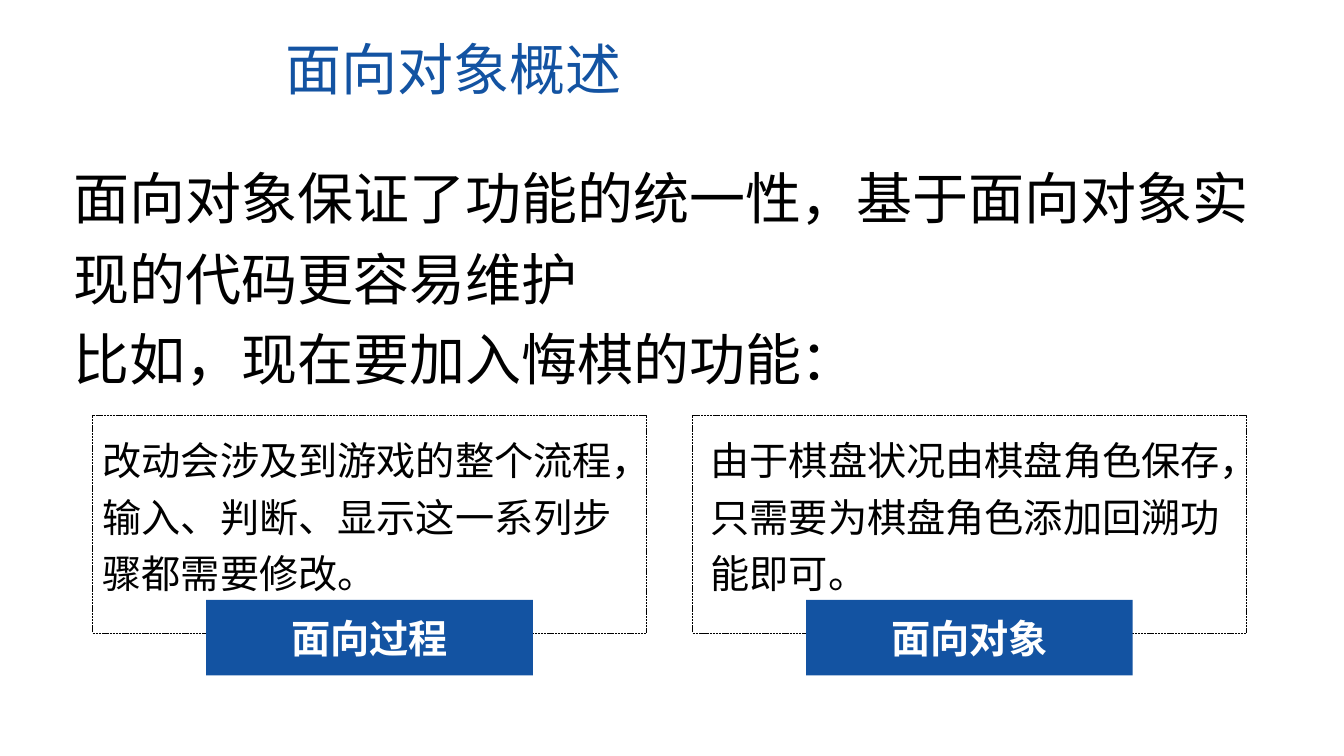
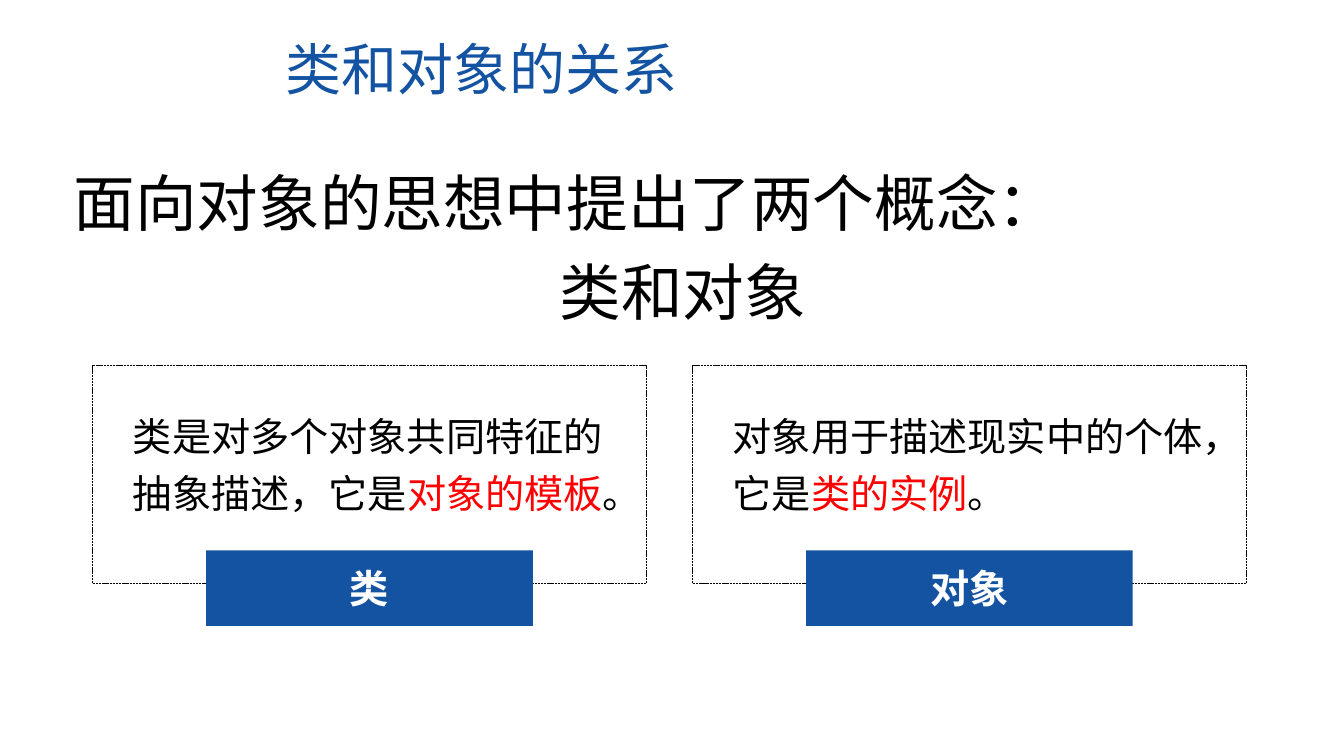
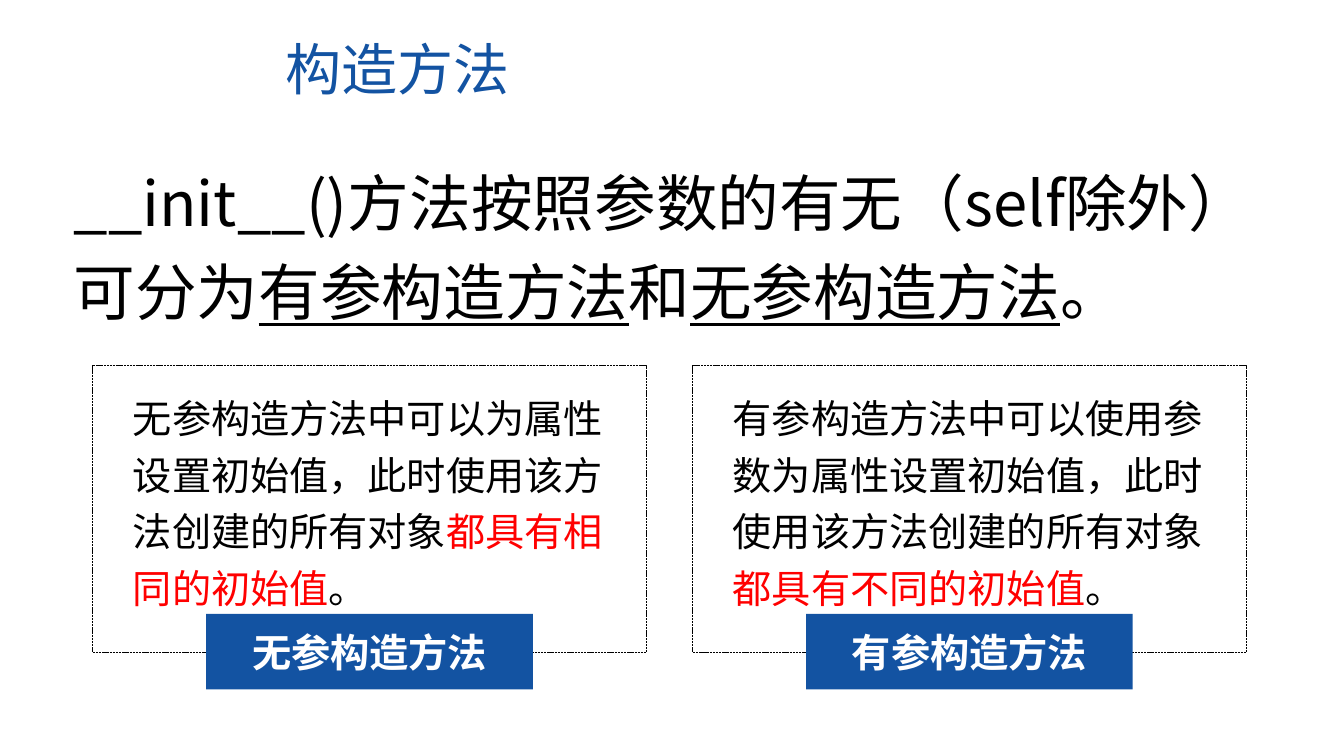
from dataclasses import dataclass

from lxml.etree import SubElement
from pptx import Presentation
from pptx.dml.color import RGBColor as RGB
from pptx.enum.dml import MSO_LINE as Dash
from pptx.enum.shapes import MSO_SHAPE as Shape
from pptx.enum.text import MSO_ANCHOR as Anchor, MSO_AUTO_SIZE as Fit, PP_ALIGN as Align
from pptx.oxml.ns import qn
from pptx.util import Inches, Pt


@dataclass(frozen=True)
class Theme:
    font: str = "Noto Sans CJK SC"
    blue: RGB = RGB(0x13, 0x53, 0xA2)
    black: RGB = RGB(0, 0, 0)
    red: RGB = RGB(255, 0, 0)
    white: RGB = RGB(255, 255, 255)
    title: int = 40
    panel: int = 28
    spacing: float = 1.2


T = Theme()
RED = {"color": T.red}
UNDERLINE = {"underline": True}

TITLE_BOX = (2.73, 0.29, 5.88, 0.77)
BODY_LEFT, BODY_TOP, BODY_W = 0.63, 1.44, 12.29
PANEL_LEFTS, PANEL_W = (0.92, 6.87), 5.49
LABEL_W, LABEL_H = 3.24, 0.75


def place(s, left, top, width, height):
    values = {"left": left, "top": top, "width": width, "height": height}
    for name, value in values.items():
        setattr(s, name, Inches(value))


def add_run(p, text, size, color=T.black, **style):
    r = p.add_run()
    r.text = text
    values = {"name": T.font, "size": Pt(size), **style}
    for name, value in values.items():
        setattr(r.font, name, value)
    r.font.color.rgb = color
    SubElement(r.font._element, qn("a:ea"), typeface=T.font)


def write(s, paragraphs, size, align=Align.LEFT, spacing=None,
          anchor=Anchor.TOP, fit=Fit.SHAPE_TO_FIT_TEXT, **style):
    tf = s.text_frame
    frame = {"word_wrap": True, "auto_size": fit, "vertical_anchor": anchor}
    for name, value in frame.items():
        setattr(tf, name, value)
    for i, runs in enumerate(paragraphs):
        p = tf.paragraphs[0] if i == 0 else tf.add_paragraph()
        values = {"alignment": align, "line_spacing": spacing,
                  "space_before": Pt(0), "space_after": Pt(0)}
        for name, value in values.items():
            setattr(p, name, value)
        for text, extra in runs:
            add_run(p, text, size, **{**style, **extra})


def add_title(slide, text):
    s = slide.shapes.title
    place(s, *TITLE_BOX)
    write(s, [[(text, {})]], T.title, color=T.blue)


def add_body(slide, paragraphs, size, height, centred=()):
    s = slide.placeholders[1]
    place(s, BODY_LEFT, BODY_TOP, BODY_W, height)
    write(s, paragraphs, size, spacing=T.spacing)
    for i, p in enumerate(s.text_frame.paragraphs):
        if i in centred:
            p.alignment = Align.CENTER
        pPr = p._p.get_or_add_pPr()
        for name in ("marL", "indent"):
            pPr.set(name, "0")
        SubElement(pPr, qn("a:buNone"))


def add_rect(slide, left, top, width, height):
    s = slide.shapes.add_shape(
        Shape.RECTANGLE, *map(Inches, (left, top, width, height)))
    s.shadow.inherit = False
    return s


def add_panel(slide, box, label, runs, pad, drop, overlap):
    left, top, width, height = box
    s = add_rect(slide, *box)
    s.fill.background()
    s.line.color.rgb = T.black
    s.line.width = Pt(0.5)
    s.line.dash_style = Dash.SQUARE_DOT

    s = add_rect(slide, left + (width - LABEL_W) / 2, top + height - overlap,
                 LABEL_W, LABEL_H)
    s.fill.solid()
    s.fill.fore_color.rgb = T.blue
    s.line.fill.background()
    write(s, [[(label, {})]], T.panel, align=Align.CENTER, anchor=Anchor.MIDDLE,
          fit=Fit.NONE, color=T.white, bold=True)

    s = slide.shapes.add_textbox(*map(Inches, (
        left + pad, top + drop, width - 2 * pad, height - drop - overlap)))
    write(s, [runs], T.panel, spacing=T.spacing)


def add_slide(prs, title, body, panels, top, height, drop, overlap=0.33,
              pads=(0.3, 0.3)):
    slide = prs.slides.add_slide(prs.slide_layouts[1])
    add_title(slide, title)
    add_body(slide, **body)
    for left, pad, (label, runs) in zip(PANEL_LEFTS, pads, panels):
        add_panel(slide, (left, top, PANEL_W, height), label, runs,
                  pad, drop, overlap)


SLIDES = [
    {
        "title": "面向对象概述",
        "body": {
            "paragraphs": [
                [("面向对象保证了功能的统一性，基于面向对象实现的代码更容易维护", {})],
                [("比如，现在要加入悔棋的功能：", {})],
            ],
            "size": 40, "height": 2.52,
        },
        "panels": [
            ("面向过程", [("改动会涉及到游戏的整个流程，输入、判断、显示这一系列步骤都需要修改。", {})]),
            ("面向对象", [("由于棋盘状况由棋盘角色保存，只需要为棋盘角色添加回溯功能即可。", {})]),
        ],
        "top": 4.12, "height": 2.16, "drop": 0.07, "pads": (0, 0.08),
    },
    {
        "title": "类和对象的关系",
        "body": {
            "paragraphs": [
                [("面向对象的思想中提出了两个概念：", {})],
                [("类和对象", {})],
            ],
            "size": 44, "height": 1.88, "centred": (1,),
        },
        "panels": [
            ("类", [("类是对多个对象共同特征的抽象描述，它是", {}),
                   ("对象的模板", RED), ("。", {})]),
            ("对象", [("对象用于描述现实中的个体，它是", {}),
                    ("类的实例", RED), ("。", {})]),
        ],
        "top": 3.63, "height": 2.16, "drop": 0.32,
    },
    {
        "title": "构造方法",
        "body": {
            "paragraphs": [
                [("__init__()方法按照参数的有无（self除外）可分为", {}),
                 ("有参构造方法", UNDERLINE), ("和", {}),
                 ("无参构造方法", UNDERLINE), ("。", {})],
            ],
            "size": 44, "height": 1.88,
        },
        "panels": [
            ("无参构造方法", [("无参构造方法中可以为属性设置初始值，此时使用该方法创建的所有对象", {}),
                        ("都具有相同的初始值", RED), ("。", {})]),
            ("有参构造方法", [("有参构造方法中可以使用参数为属性设置初始值，此时使用该方法创建的所有对象", {}),
                        ("都具有不同的初始值", RED), ("。", {})]),
        ],
        "top": 3.63, "height": 2.84, "drop": 0.14, "overlap": 0.38,
    },
]


def main():
    prs = Presentation()
    prs.slide_width, prs.slide_height = Inches(13.33), Inches(7.5)
    for content in SLIDES:
        add_slide(prs, **content)
    prs.save("out.pptx")


if __name__ == "__main__":
    main()
